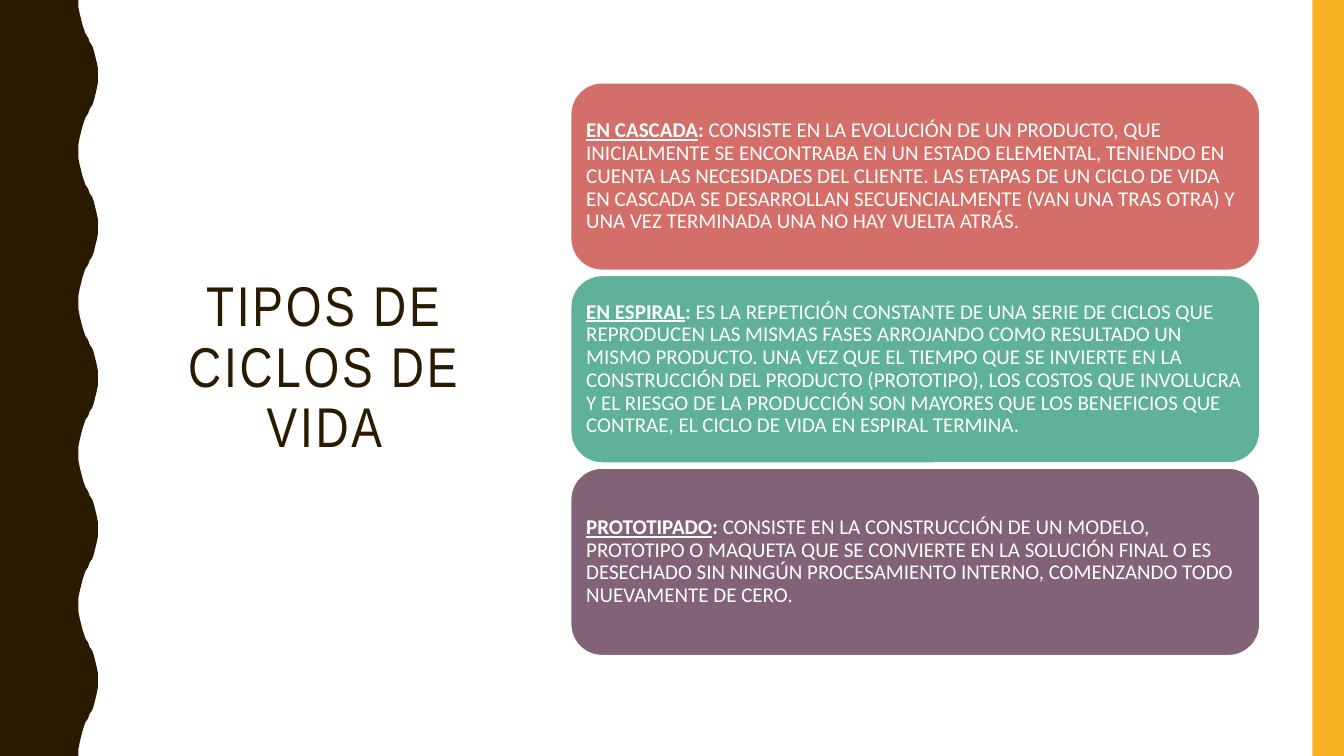
from dataclasses import dataclass

from pptx import Presentation
from pptx.dml.color import RGBColor
from pptx.enum import shapes, text
from pptx.util import Pt


@dataclass(frozen=True)
class Theme:
    dark: str = "2A1A00"
    gold: str = "F8B323"
    white: str = "FFFFFF"
    cards: tuple = ("D36F68", "5FB19A", "826276")
    title_font: str = "Arial Narrow"
    body_font: str = "Calibri"
    title_size: int = 40
    body_size: int = 15


theme = Theme()
WIDTH, HEIGHT = 960, 540


def paint(shape, fill, line=None):
    shape.shadow.inherit = False
    shape.fill.solid()
    shape.fill.fore_color.rgb = RGBColor.from_string(fill)
    if line:
        shape.line.color.rgb = RGBColor.from_string(line)
        shape.line.width = Pt(1)
    else:
        shape.line.fill.background()


def style(span, font, size, color):
    span.font.name = font
    span.font.size = Pt(size)
    span.font.color.rgb = RGBColor.from_string(color)


deck = Presentation()
deck.slide_width, deck.slide_height = Pt(WIDTH), Pt(HEIGHT)
page = deck.slides.add_slide(deck.slide_layouts[5])

# Wavy left band: half a wave, mirrored and repeated down the page
WAVE = 108
half_wave = [(56.2, 0), (56.2, 5), (56.9, 10), (57.6, 14.4), (58.6, 18),
             (59.8, 21), (61.2, 24), (62.6, 27), (64.1, 30), (65.5, 33),
             (67, 36), (68.3, 39.6), (69.3, 44), (69.8, 49), (70, 54)]
wave = half_wave + [(x, WAVE - y) for x, y in reversed(half_wave[:-1])]
edge = [(x, top + y) for top in range(0, HEIGHT, WAVE) for x, y in wave]
outline = page.shapes.build_freeform(0, 0, scale=Pt(1))
outline.add_line_segments(edge + [(0, HEIGHT)], close=True)
paint(outline.convert_to_shape(), theme.dark)

# Gold right band
gold_band = page.shapes.add_shape(
    shapes.MSO_SHAPE.RECTANGLE, Pt(937.5), 0, Pt(22.5), Pt(HEIGHT))
paint(gold_band, theme.gold)

# Title
title = page.shapes.title
title.left, title.top, title.width, title.height = Pt(98.6), Pt(50.4), Pt(266.4), Pt(426.2)
frame = title.text_frame
frame.text = "TIPOS DE CICLOS DE VIDA"
frame.word_wrap = True
frame.auto_size = text.MSO_AUTO_SIZE.NONE
frame.vertical_anchor = text.MSO_ANCHOR.MIDDLE
para = frame.paragraphs[0]
para.alignment = text.PP_ALIGN.CENTER
para.line_spacing = 0.9
span = para.runs[0]
style(span, theme.title_font, theme.title_size, theme.dark)
span.font._element.set("spc", "200")

# Life cycle cards
cycles = [
    ("EN CASCADA",
     "CONSISTE EN LA EVOLUCIÓN DE UN PRODUCTO, QUE INICIALMENTE SE ENCONTRABA "
     "EN UN ESTADO ELEMENTAL, TENIENDO EN CUENTA LAS NECESIDADES DEL CLIENTE. "
     "LAS ETAPAS DE UN CICLO DE VIDA EN CASCADA SE DESARROLLAN SECUENCIALMENTE "
     "(VAN UNA TRAS OTRA) Y UNA VEZ TERMINADA UNA NO HAY VUELTA ATRÁS."),
    ("EN ESPIRAL",
     "ES LA REPETICIÓN CONSTANTE DE UNA SERIE DE CICLOS QUE REPRODUCEN LAS "
     "MISMAS FASES ARROJANDO COMO RESULTADO UN MISMO PRODUCTO. UNA VEZ QUE EL "
     "TIEMPO QUE SE INVIERTE EN LA CONSTRUCCIÓN DEL PRODUCTO (PROTOTIPO), LOS "
     "COSTOS QUE INVOLUCRA Y EL RIESGO DE LA PRODUCCIÓN SON MAYORES QUE LOS "
     "BENEFICIOS QUE CONTRAE, EL CICLO DE VIDA EN ESPIRAL TERMINA."),
    ("PROTOTIPADO",
     "CONSISTE EN LA CONSTRUCCIÓN DE UN MODELO, PROTOTIPO O MAQUETA QUE SE "
     "CONVIERTE EN LA SOLUCIÓN FINAL O ES DESECHADO SIN NINGÚN PROCESAMIENTO "
     "INTERNO, COMENZANDO TODO NUEVAMENTE DE CERO."),
]
CARD_TOP, CARD_STEP = 59.2, 137.6
for index, ((name, description), color) in enumerate(zip(cycles, theme.cards)):
    card = page.shapes.add_shape(
        shapes.MSO_SHAPE.ROUNDED_RECTANGLE,
        Pt(407.7), Pt(CARD_TOP + index * CARD_STEP), Pt(492.2), Pt(133.9))
    paint(card, color, theme.white)
    frame = card.text_frame
    frame.word_wrap = True
    frame.vertical_anchor = text.MSO_ANCHOR.MIDDLE
    frame.margin_left = frame.margin_right = Pt(4.5)
    frame.margin_top = frame.margin_bottom = Pt(4.5)
    para = frame.paragraphs[0]
    para.alignment = text.PP_ALIGN.LEFT
    para.line_spacing = 0.9
    for words, bold, underline in ((name, True, True), (": ", True, False),
                                   (description, False, False)):
        span = para.add_run()
        span.text = words
        style(span, theme.body_font, theme.body_size, theme.white)
        span.font.bold = bold
        span.font.underline = underline

deck.save("out.pptx")
